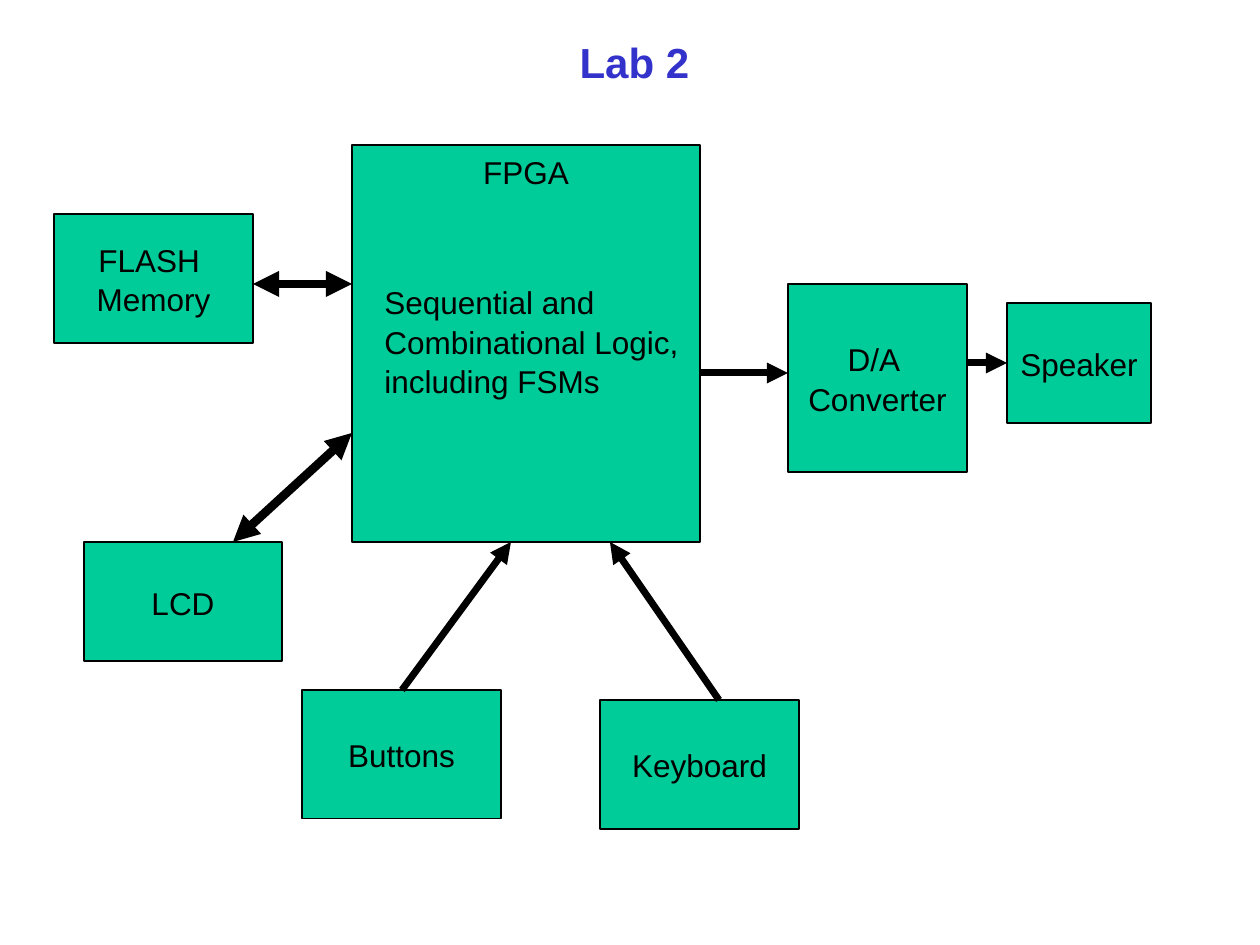
from lxml import etree
from pptx import Presentation
from pptx import util as u
from pptx.dml.color import RGBColor
from pptx.enum import shapes, text
from pptx.oxml.ns import qn

PX = 9144000 // 1260
BLACK = RGBColor(0x00, 0x00, 0x00)
BLUE = RGBColor(0x33, 0x33, 0xCC)
GREEN = RGBColor(0x00, 0xCC, 0x99)
FONT = "Arial"

TITLE = ("Lab 2", (84, 18, 1101, 84))
LOGIC = ("Sequential and\nCombinational Logic,\nincluding FSMs", (372, 275, 319, 164))
BLOCKS = [
    ("FPGA", (352, 145, 348, 397), text.MSO_ANCHOR.TOP),
    ("FLASH \nMemory", (54, 214, 199, 129), text.MSO_ANCHOR.MIDDLE),
    ("Keyboard", (600, 700, 199, 129), text.MSO_ANCHOR.MIDDLE),
    ("Buttons", (302, 690, 199, 129), text.MSO_ANCHOR.MIDDLE),
    ("D/A \nConverter", (788, 284, 179, 188), text.MSO_ANCHOR.MIDDLE),
    ("Speaker", (1007, 303, 144, 120), text.MSO_ANCHOR.MIDDLE),
    ("LCD", (84, 542, 198, 119), text.MSO_ANCHOR.MIDDLE),
]
ONE_WAY, TWO_WAY = (4, ["tailEnd"]), (5, ["headEnd", "tailEnd"])
ARROWS = [
    ((253, 284), (352, 284), TWO_WAY),
    ((402, 690), (511, 542), ONE_WAY),
    ((719, 700), (610, 542), ONE_WAY),
    ((700, 373), (788, 373), ONE_WAY),
    ((967, 363), (1007, 363), ONE_WAY),
    ((233, 542), (352, 433), TWO_WAY),
]


def scaled(lengths):
    return [length * PX for length in lengths]


def write(shape, words, align, anchor, size=18, color=BLACK, bold=False):
    frame = shape.text_frame
    frame.text = words
    frame.word_wrap = False
    frame.vertical_anchor = anchor
    for paragraph in frame.paragraphs:
        paragraph.alignment = align
        paragraph.line_spacing = 1.05
        for run in paragraph.runs:
            run.font.name = FONT
            run.font.size = u.Pt(size)
            run.font.bold = bold
            run.font.color.rgb = color


def add_block(slide, words, box, anchor):
    shape = slide.shapes.add_shape(shapes.MSO_SHAPE.RECTANGLE, *scaled(box))
    shape.shadow.inherit = False
    shape.fill.solid()
    shape.fill.fore_color.rgb = GREEN
    shape.line.color.rgb = BLACK
    shape.line.width = u.Pt(0.75)
    write(shape, words, text.PP_ALIGN.CENTER, anchor)


def add_arrow(slide, start, end, style):
    width, ends = style
    arrow = slide.shapes.add_connector(
        shapes.MSO_CONNECTOR.STRAIGHT, *scaled(start + end))
    arrow.line.color.rgb = BLACK
    arrow.line.width = u.Pt(width)
    properties = arrow.line._get_or_add_ln()
    for name in ends:
        etree.SubElement(properties, qn("a:" + name), type="triangle")
    etree.SubElement(arrow._element.spPr, qn("a:effectLst"))


def main():
    presentation = Presentation()
    presentation.slide_width, presentation.slide_height = scaled((1260, 945))
    slide = presentation.slides.add_slide(presentation.slide_layouts[6])

    words, box = TITLE
    write(slide.shapes.add_textbox(*scaled(box)), words, text.PP_ALIGN.CENTER,
          text.MSO_ANCHOR.MIDDLE, 24, BLUE, True)
    for block in BLOCKS:
        add_block(slide, *block)
    for arrow in ARROWS:
        add_arrow(slide, *arrow)
    words, box = LOGIC
    write(slide.shapes.add_textbox(*scaled(box)), words, text.PP_ALIGN.LEFT,
          text.MSO_ANCHOR.TOP)

    presentation.save("out.pptx")


if __name__ == "__main__":
    main()
